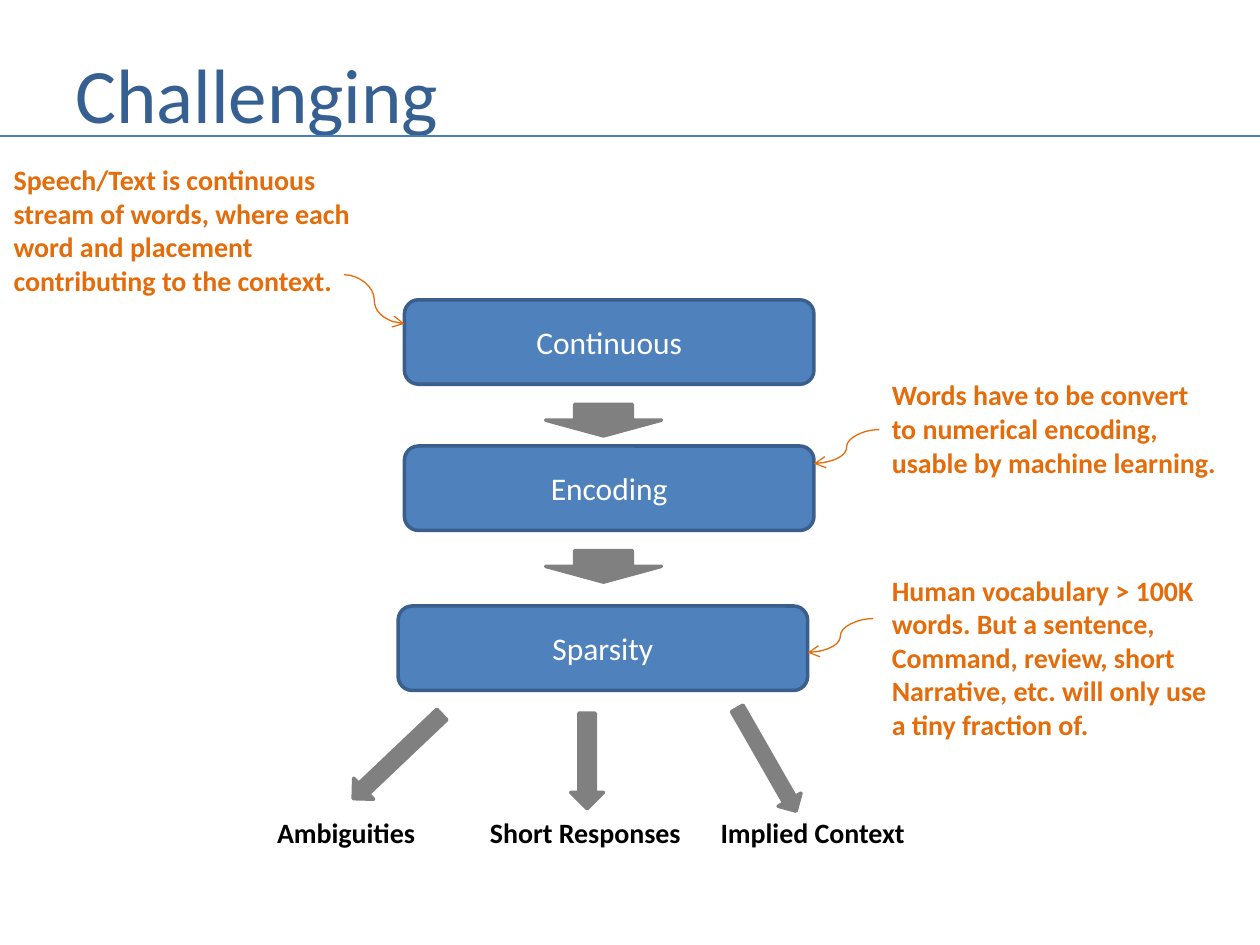
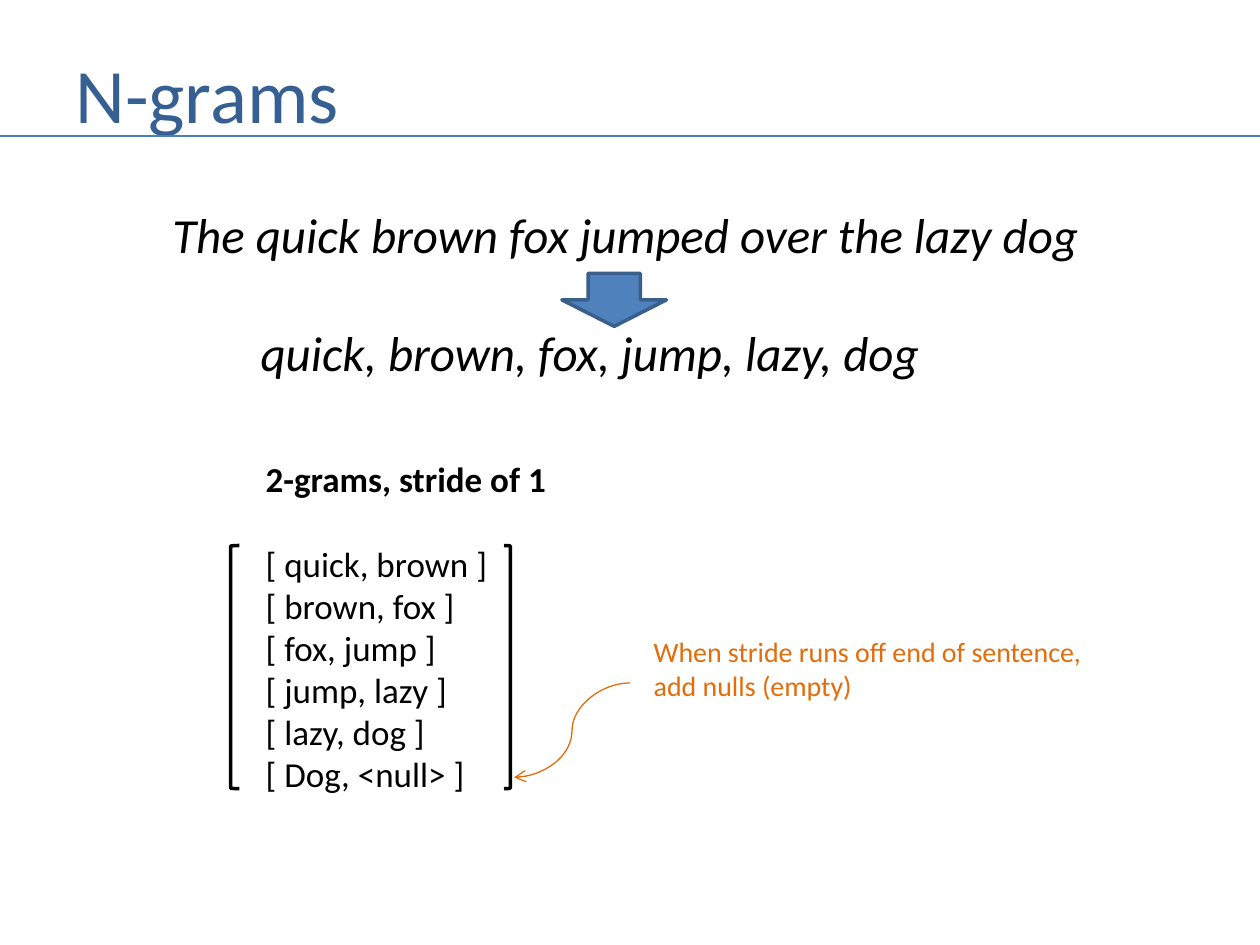
from lxml.etree import SubElement
from pptx import Presentation
from pptx.dml.color import RGBColor
from pptx.enum.shapes import MSO_CONNECTOR as Connector, MSO_SHAPE as Shape
from pptx.enum.text import MSO_ANCHOR as Anchor, MSO_AUTO_SIZE as AutoSize, PP_ALIGN as Align
from pptx.oxml.ns import qn
from pptx.util import Inches, Pt

FONT = "Calibri"
TITLE_BLUE = RGBColor(0x37, 0x60, 0x92)
RULE_BLUE = RGBColor(0x4B, 0x7E, 0xBC)
FILL_BLUE = RGBColor(0x4F, 0x81, 0xBD)
EDGE_BLUE = RGBColor(0x3A, 0x5F, 0x8C)
ORANGE = RGBColor(0xE4, 0x6C, 0x0A)
GRAY = RGBColor(0x80, 0x80, 0x80)
BLACK = RGBColor(0, 0, 0)
WHITE = RGBColor(0xFF, 0xFF, 0xFF)

SLIDE_WIDTH, SLIDE_HEIGHT = 10, 7.5


# Shared parts; boxes are (left, top, width, height) in inches
def style(paragraph, size, color, bold=False, italic=False):
    font = paragraph.font
    font.name, font.size, font.bold, font.italic = FONT, Pt(size), bold, italic
    font.color.rgb = color


def add_text(slide, box, text, size, color, bold=False, italic=False):
    """Unwrapped text; a new line starts a paragraph, a vertical tab breaks a line."""
    frame = slide.shapes.add_textbox(*map(Inches, box)).text_frame
    frame.text = text
    frame.word_wrap = False
    frame.auto_size = AutoSize.SHAPE_TO_FIT_TEXT
    for paragraph in frame.paragraphs:
        style(paragraph, size, color, bold, italic)
    return frame


def add_shape(slide, kind, box, fill, edge, rotation=0):
    shape = slide.shapes.add_shape(kind, *map(Inches, box))
    shape.shadow.inherit = False
    shape.rotation = rotation
    if fill is None:
        shape.fill.background()
    else:
        shape.fill.solid()
        shape.fill.fore_color.rgb = fill
    shape.line.color.rgb = edge
    shape.line.width = Pt(2)
    return shape


def add_line(slide, kind, start, end, color, width):
    line = slide.shapes.add_connector(kind, *map(Inches, (*start, *end)))
    line.line.color.rgb = color
    line.line.width = Pt(width)
    SubElement(line.element.spPr, qn("a:effectLst"))
    return line


def add_callout(slide, box, text, start, end, bold=True):
    """Orange remark with a curved arrow to what it explains."""
    add_text(slide, box, text, 16, ORANGE, bold)
    arrow = add_line(slide, Connector.CURVE, start, end, ORANGE, 0.75)
    outline = arrow.element.spPr.find(qn("a:ln"))
    SubElement(outline, qn("a:tailEnd"), type="arrow")


def add_titled_slide(presentation, title, title_width):
    slide = presentation.slides.add_slide(presentation.slide_layouts[6])
    box = (0.5, 0.3, title_width, 0.87)
    frame = slide.shapes.add_textbox(*map(Inches, box)).text_frame
    frame.text = title
    frame.word_wrap = True
    frame.vertical_anchor = Anchor.MIDDLE
    style(frame.paragraphs[0], 44, TITLE_BLUE)
    add_line(slide, Connector.STRAIGHT, (0, 1.08), (SLIDE_WIDTH, 1.08), RULE_BLUE, 1.5)
    return slide


# Regions of the challenges slide
def add_step(slide, box, label):
    step = add_shape(slide, Shape.ROUNDED_RECTANGLE, box, FILL_BLUE, EDGE_BLUE)
    frame = step.text_frame
    frame.text = label
    frame.vertical_anchor = Anchor.MIDDLE
    frame.paragraphs[0].alignment = Align.CENTER
    style(frame.paragraphs[0], 18, WHITE)


def add_steps(slide, left, top, width):
    height = 0.67
    steps = [("Continuous", 0, 0), ("Encoding", 0, 1.16), ("Sparsity", -0.05, 2.43)]
    for label, shift, offset in steps:
        add_step(slide, (left + shift, top + offset, width, height), label)
    for _, _, offset in steps[:2]:
        arrow_box = (left + 1.12, top + offset + height + 0.16, 0.92, 0.25)
        add_shape(slide, Shape.DOWN_ARROW, arrow_box, GRAY, GRAY)


def add_outcomes(slide, left, top):
    """Three arrows fanning out to the effects of sparsity."""
    outcomes = [
        ("Ambiguities", 0, 1.31, (0.94, 0, 0.23, 0.97), 46.5),
        ("Short Responses", 1.69, 1.74, (2.43, 0.14, 0.26, 0.76), 0),
        ("Implied Context", 3.52, 1.68, (3.88, 0.04, 0.21, 0.94), 330.2),
    ]
    for label, offset, label_width, (x, y, width, height), angle in outcomes:
        arrow_box = (left + x, top + y, width, height)
        add_shape(slide, Shape.DOWN_ARROW, arrow_box, GRAY, GRAY, angle)
        label_box = (left + offset, top + 0.9, label_width, 0.37)
        add_text(slide, label_box, label, 16, BLACK, bold=True)


def build_challenges(presentation):
    slide = add_titled_slide(presentation, "Challenging", 6.33)
    add_steps(slide, 3.21, 2.38, 3.25)
    add_outcomes(slide, 2.1, 5.52)
    add_callout(
        slide, (0.01, 1.24, 2.96, 1.18),
        "Speech/Text is continuous \nstream of words, where each \v"
        "word and placement \vcontributing to the context.",
        (2.73, 2.18), (3.21, 2.57))
    add_callout(
        slide, (6.98, 2.95, 2.81, 0.91),
        "Words have to be convert\nto numerical encoding, \vusable by machine learning.",
        (6.98, 3.41), (6.46, 3.68))
    add_callout(
        slide, (6.98, 4.5, 2.73, 1.45),
        "Human vocabulary > 100K\nwords. But a sentence, \nCommand, review, short\n"
        "Narrative, etc. will only use\na tiny fraction of.",
        (6.93, 4.91), (6.41, 5.18))


# Regions of the n-grams slide
def add_sentence(slide, left, top, width):
    """Sentence above the words that are kept from it."""
    frame = add_text(
        slide, (left, top, width, 1.51),
        "The quick brown fox jumped over the lazy dog\nquick, brown, fox, jump, lazy, dog",
        28, BLACK, italic=True)
    kept_words = frame.paragraphs[1]
    kept_words.space_before = Pt(34.2)
    kept_words._p.get_or_add_pPr().set("marL", str(Inches(0.7)))
    arrow_box = (left + 3.19, top + 0.6, 0.83, 0.42)
    add_shape(slide, Shape.DOWN_ARROW, arrow_box, FILL_BLUE, EDGE_BLUE)


def add_pairs(slide, left, top, width):
    """Bracketed list of word pairs under its heading."""
    words = ["quick", "brown", "fox", "jump", "lazy", "dog"]
    followers = words[1:] + ["<null>"]
    firsts = words[:-1] + ["Dog"]
    pairs = [f"[ {first}, {second} ]" for first, second in zip(firsts, followers)]
    text = "\n".join(["2-grams, stride of 1", *pairs])
    frame = add_text(slide, (left, top, width, 2.79), text, 20, BLACK)
    frame.paragraphs[0].font.bold = True
    frame.paragraphs[1].space_before = Pt(24.4)
    for kind, offset, bracket_width in [
        (Shape.LEFT_BRACKET, -0.18, 0.07), (Shape.RIGHT_BRACKET, 1.99, 0.05),
    ]:
        bracket_box = (left + offset, top + 0.75, bracket_width, 1.93)
        add_shape(slide, kind, bracket_box, None, BLACK)


def build_ngrams(presentation):
    slide = add_titled_slide(presentation, "N-grams", 8.58)
    add_sentence(slide, 1.27, 1.57, 7.47)
    add_pairs(slide, 2.01, 3.58, 2.45)
    add_callout(
        slide, (5.09, 4.99, 3.64, 0.64),
        "When stride runs off end of sentence,\nadd nulls (empty)",
        (5, 5.42), (4.08, 6.17), bold=False)


presentation = Presentation()
presentation.slide_width = Inches(SLIDE_WIDTH)
presentation.slide_height = Inches(SLIDE_HEIGHT)
build_challenges(presentation)
build_ngrams(presentation)
presentation.save("out.pptx")
